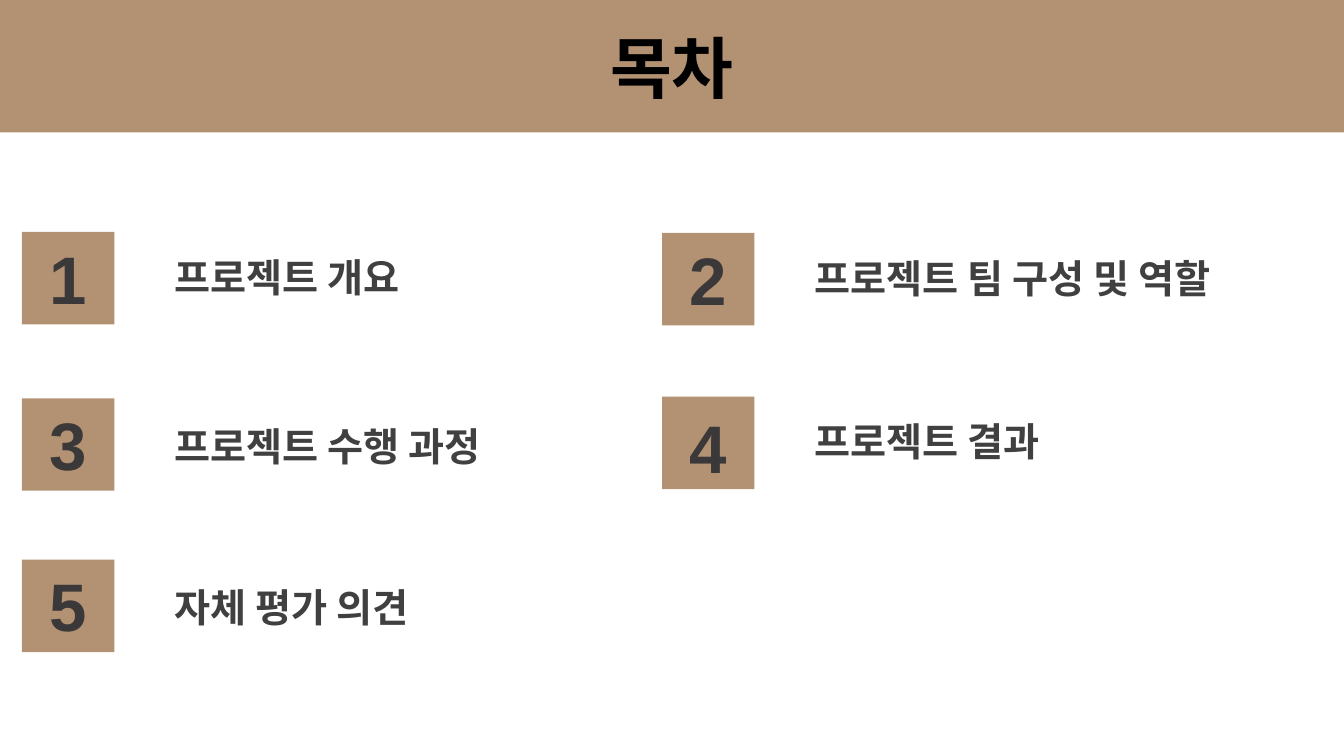
from pptx import Presentation
from pptx.dml.color import RGBColor
from pptx.enum.shapes import MSO_SHAPE
from pptx.enum.text import MSO_ANCHOR, MSO_AUTO_SIZE, PP_ALIGN
from pptx.oxml.ns import qn
from pptx.util import Pt
from lxml import etree

RECTANGLE = MSO_SHAPE.RECTANGLE
MIDDLE = MSO_ANCHOR.MIDDLE
CENTER = PP_ALIGN.CENTER
GROW = MSO_AUTO_SIZE.SHAPE_TO_FIT_TEXT
NO_AUTOFIT = MSO_AUTO_SIZE.NONE

PAGE_WIDTH, PAGE_HEIGHT = 960, 540
BAND_HEIGHT = 94.5
BADGE_SIZE = 66
DIGIT_WIDTH = 41.5
LABEL_OFFSET, LABEL_WIDTH, LABEL_HEIGHT = 102, 377, 41
LEFT_COLUMN, RIGHT_COLUMN = 15.7, 473

TAN, BLACK, DIGIT_GREY, LABEL_GREY = "B39273", "000000", "3A3838", "404040"
LATIN_FONT, KOREAN_FONT = "Arial", "Noto Sans CJK KR"

# number, label, left, top, digit drop, label drop
ENTRIES = [
    ("1", "프로젝트 개요", LEFT_COLUMN, 165.7, 0, 11.5),
    ("3", "프로젝트 수행 과정", LEFT_COLUMN, 284.6, 0, 13.5),
    ("5", "자체 평가 의견", LEFT_COLUMN, 399.8, 0, 13),
    ("2", "프로젝트 팀 구성 및 역할", RIGHT_COLUMN, 166.4, 0, 11.5),
    ("4", "프로젝트 결과", RIGHT_COLUMN, 283.4, 3, 11.5),
]


def color(value):
    return RGBColor.from_string(value)


def write(frame, text, size, font, ink):
    """Put one bold line of text in a frame, with a Korean fallback font."""
    frame.text = text
    span = frame.paragraphs[0].runs[0]
    span.font.size = Pt(size)
    span.font.bold = True
    span.font.name = font
    span.font.color.rgb = color(ink)
    east_asian = etree.Element(qn("a:ea"), typeface=KOREAN_FONT)
    span.font._element.find(qn("a:latin")).addnext(east_asian)


def add_title_band(page, left, top, width, height):
    title = page.shapes.title
    title.left, title.top = Pt(left), Pt(top)
    title.width, title.height = Pt(width), Pt(height)
    title.fill.solid()
    title.fill.fore_color.rgb = color(TAN)
    frame = title.text_frame
    write(frame, "목차", 48, LATIN_FONT, BLACK)
    frame.auto_size = NO_AUTOFIT
    frame.vertical_anchor = MIDDLE
    frame.paragraphs[0].alignment = CENTER


def add_text(shapes, left, top, width, height, wrap, *style):
    box = shapes.add_textbox(Pt(left), Pt(top), Pt(width), Pt(height))
    write(box.text_frame, *style)
    box.text_frame.word_wrap = wrap
    box.text_frame.auto_size = GROW


def add_entry(page, number, label, left, top, digit_drop, label_drop):
    shapes = page.shapes.add_group_shape().shapes
    badge = shapes.add_shape(RECTANGLE, Pt(left), Pt(top), Pt(BADGE_SIZE), Pt(BADGE_SIZE))
    badge.shadow.inherit = False
    badge.fill.solid()
    badge.fill.fore_color.rgb = color(TAN)
    badge.line.fill.background()
    add_text(shapes, left + (BADGE_SIZE - DIGIT_WIDTH) / 2, top + digit_drop,
             DIGIT_WIDTH, BADGE_SIZE, False, number, 48, LATIN_FONT, DIGIT_GREY)
    add_text(shapes, left + LABEL_OFFSET, top + label_drop,
             LABEL_WIDTH, LABEL_HEIGHT, True, label, 28, KOREAN_FONT, LABEL_GREY)


def main():
    deck = Presentation()
    deck.slide_width, deck.slide_height = Pt(PAGE_WIDTH), Pt(PAGE_HEIGHT)
    page = deck.slides.add_slide(deck.slide_layouts[5])
    add_title_band(page, 0, 0, PAGE_WIDTH, BAND_HEIGHT)
    for entry in ENTRIES:
        add_entry(page, *entry)
    deck.save("out.pptx")


if __name__ == "__main__":
    main()
